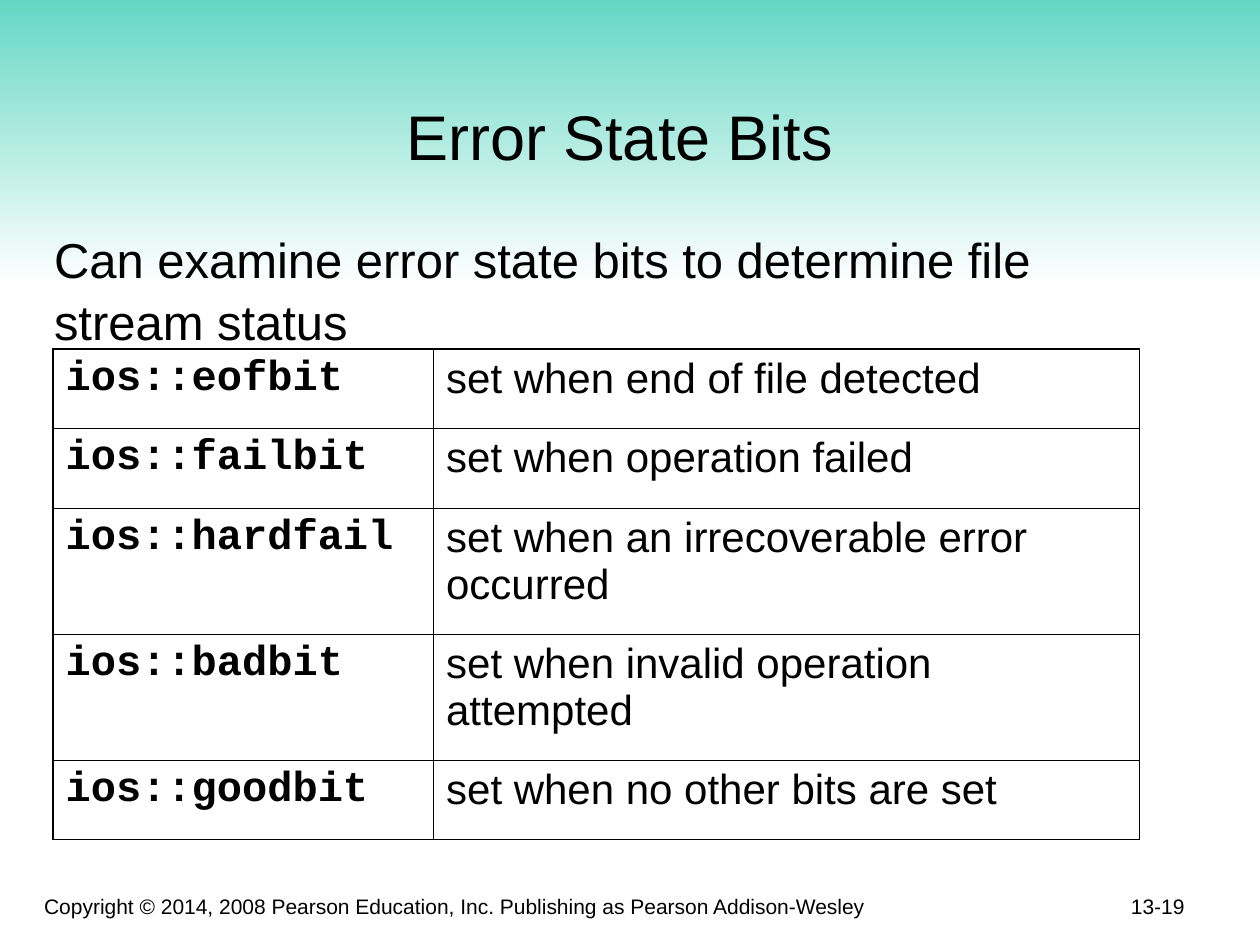
from lxml import etree
from pptx import Presentation
from pptx.dml.color import RGBColor
from pptx.enum.shapes import MSO_SHAPE
from pptx.enum.text import MSO_ANCHOR, PP_ALIGN
from pptx.oxml.ns import qn
from pptx.util import Cm, Pt

RECT = MSO_SHAPE.RECTANGLE
TOP, BOTTOM = MSO_ANCHOR.TOP, MSO_ANCHOR.BOTTOM
LEFT, MID, RIGHT = PP_ALIGN.LEFT, PP_ALIGN.CENTER, PP_ALIGN.RIGHT

# Content
TITLE = "Error State Bits"
LEAD = "Can examine error state bits to determine file stream status"
BITS = [
    ("ios::eofbit", "set when end of file detected"),
    ("ios::failbit", "set when operation failed"),
    ("ios::hardfail", "set when an irrecoverable error occurred"),
    ("ios::badbit", "set when invalid operation attempted"),
    ("ios::goodbit", "set when no other bits are set"),
]
CREDIT = ("Copyright © 2014, 2008 Pearson Education, Inc. "
          "Publishing as Pearson Addison-Wesley")
PAGE = "13-19"

COLORS = {"mint": "5FD6C2", "white": "FFFFFF", "ink": "000000"}
THICK, THIN = Pt(1.08), Pt(0.45)
COLS = [7.67, 14.23]
ROWS = [1.6, 1.6, 2.54, 2.54, 1.6]


def color(name):
    return RGBColor.from_string(COLORS[name])


def write(frame, text, size=12, font="Arial", bold=False, align=LEFT,
          anchor=TOP, pitch=None):
    frame.word_wrap = True
    frame.vertical_anchor = anchor
    para = frame.paragraphs[0]
    para.alignment = align
    para.space_before = Pt(0)
    para.line_spacing = pitch
    run = para.add_run()
    run.text = text
    run.font.size = Pt(size)
    run.font.name = font
    run.font.bold = bold
    run.font.color.rgb = color("ink")


def add_text(slide, box, text, **form):
    shape = slide.shapes.add_textbox(*map(Cm, box))
    write(shape.text_frame, text, **form)
    return shape


def add_edge(cell, side, width):
    props = cell._tc.get_or_add_tcPr()
    line = etree.SubElement(props, qn("a:ln" + side), w=str(int(width)))
    fill = etree.SubElement(line, qn("a:solidFill"))
    etree.SubElement(fill, qn("a:srgbClr"), val=COLORS["ink"])


def add_bits(slide):
    frame = slide.shapes.add_table(
        len(ROWS), len(COLS), Cm(1.07), Cm(7.04),
        Cm(sum(COLS)), Cm(sum(ROWS)))
    table = frame.table
    table.first_row = table.horz_banding = False
    for col, width in zip(table.columns, COLS):
        col.width = Cm(width)
    last = len(BITS) - 1
    for r, (pair, height) in enumerate(zip(BITS, ROWS)):
        table.rows[r].height = Cm(height)
        for c, text in enumerate(pair):
            cell = table.cell(r, c)
            code = c == 0
            write(cell.text_frame, text, size=24, bold=code,
                  font="Courier New" if code else "Arial")
            # The right edge is thin in the first and last rows
            corner = not code and r in (0, last)
            add_edge(cell, "L", THICK)
            add_edge(cell, "R", THIN if corner else THICK)
            add_edge(cell, "T", THICK if r == 0 else THIN)
            add_edge(cell, "B", THICK if r == last else THIN)
            cell.fill.background()


def main():
    deck = Presentation()
    deck.slide_width, deck.slide_height = Cm(25.4), Cm(19.05)
    slide = deck.slides.add_slide(deck.slide_layouts[5])
    slide.background.fill.solid()
    slide.background.fill.fore_color.rgb = color("white")

    # Title
    title = slide.shapes.title
    title.left, title.top = Cm(1.7), Cm(0.43)
    title.width, title.height = Cm(21.59), Cm(3.18)
    write(title.text_frame, TITLE, size=36, align=MID, anchor=BOTTOM)

    # Gradient band behind the title
    band = slide.shapes.add_shape(RECT, 0, Cm(-0.2), Cm(25.4), Cm(5.92))
    band.shadow.inherit = False
    band.line.fill.background()
    band.fill.gradient()
    band.fill.gradient_angle = 270
    for stop, name in zip(band.fill.gradient_stops, ("mint", "white")):
        stop.color.rgb = color(name)
    title.element.addprevious(band.element)

    # Lead line and table
    lead = add_text(slide, (0.84, 4.45, 22.86, 3.38), LEAD, size=28, pitch=1.05)
    lead.text_frame.margin_right = 0
    add_bits(slide)

    # Footer
    add_text(slide, (0.64, 17.58, 17.15, 1.07), CREDIT, anchor=BOTTOM)
    add_text(slide, (18.85, 17.37, 5.28, 1.27), PAGE, align=RIGHT, anchor=BOTTOM)
    deck.save("out.pptx")


if __name__ == "__main__":
    main()
